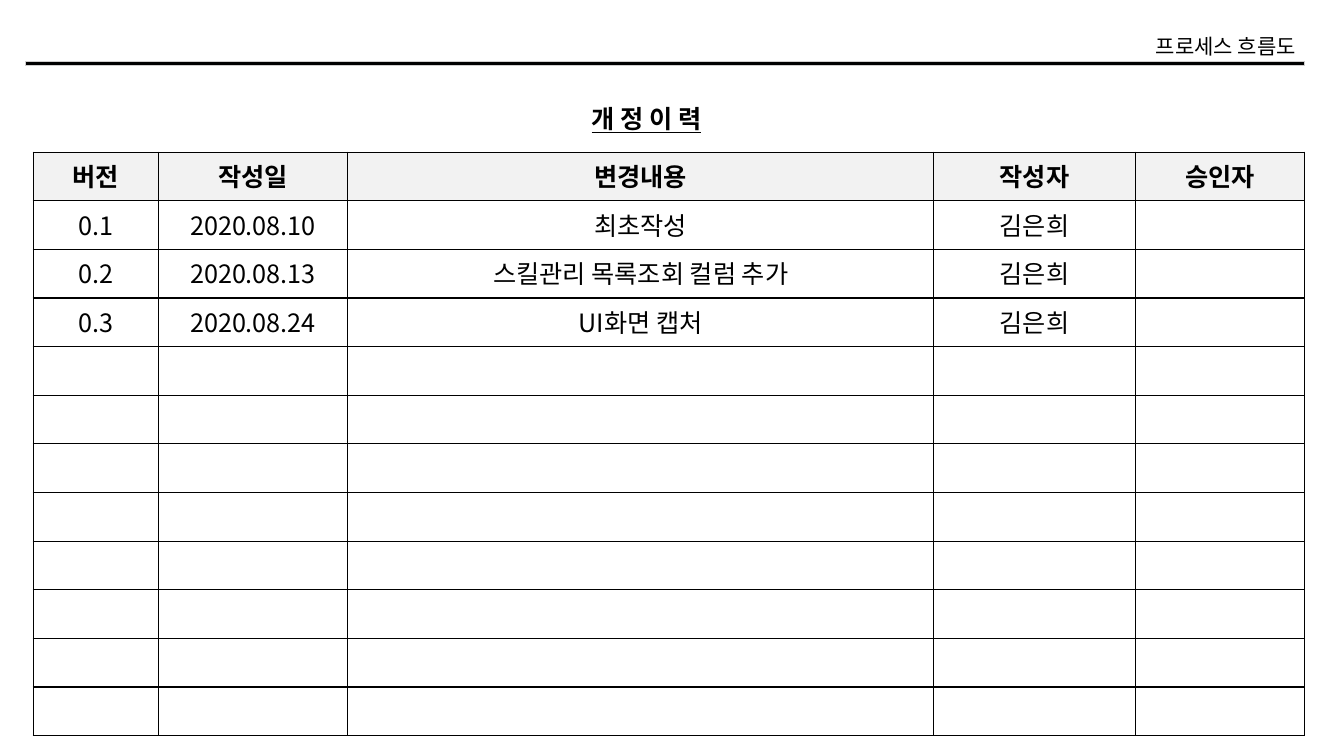
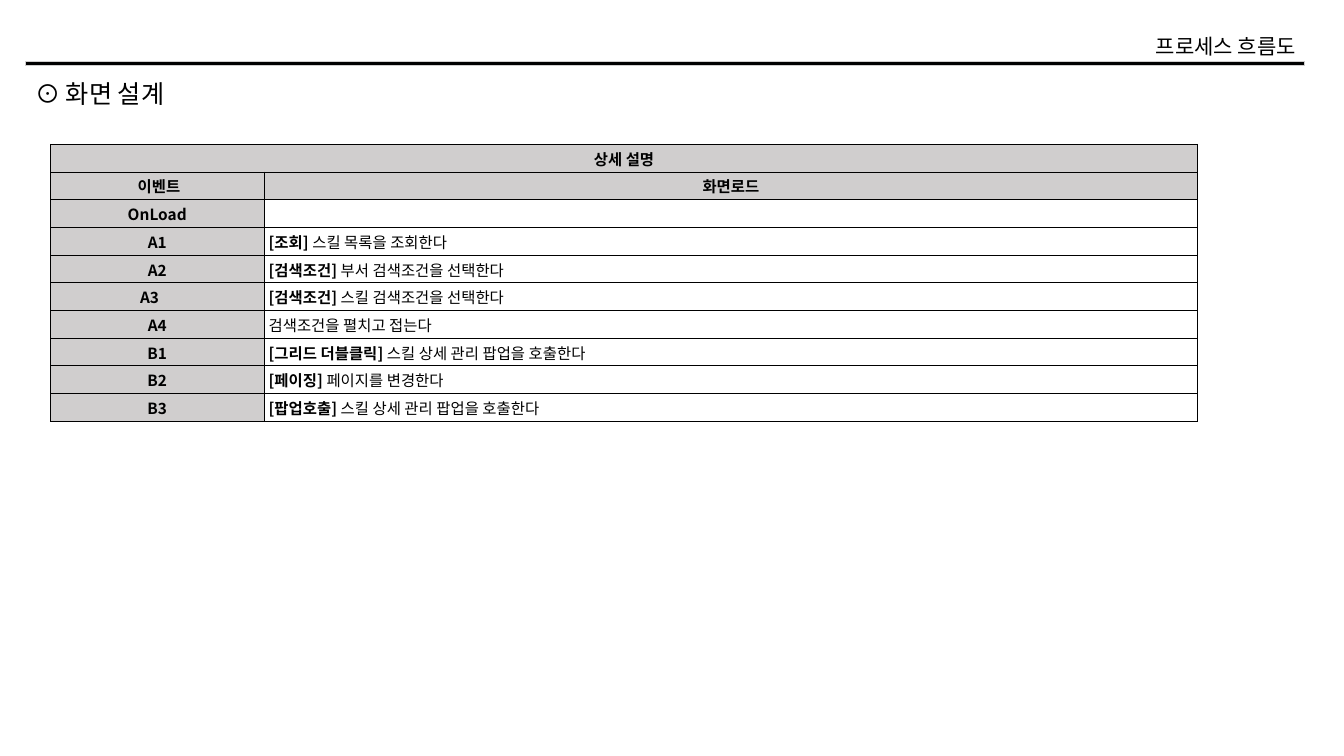
import pptx
import pptx.dml.color
import pptx.enum.shapes
import pptx.enum.text
import pptx.oxml.ns
import pptx.util
from lxml import etree

Inches = pptx.util.Inches
Pt = pptx.util.Pt
ALIGN = pptx.enum.text.PP_ALIGN
MIDDLE = pptx.enum.text.MSO_ANCHOR.MIDDLE
qn = pptx.oxml.ns.qn

FONT = "Noto Sans CJK KR"
COLORS = {"ink": "000000", "paper": "FFFFFF", "light": "F2F2F2", "gray": "D0CECE"}


class Deck:
    """Holds the shared style and the current slide, and draws each kind of element."""

    def __init__(self):
        self.prs = pptx.Presentation()
        self.prs.slide_width = Inches(13.33)
        self.prs.slide_height = Inches(7.5)
        self.slide = None

    def color(self, name):
        return pptx.dml.color.RGBColor.from_string(COLORS[name])

    def new_slide(self):
        self.slide = self.prs.slides.add_slide(self.prs.slide_layouts[6])
        self.rule(0.25, 0.61, 12.69, 0.04)
        self.text("프로세스 흐름도", 11.2, 0.28, 1.75, 0.35, 15, align=ALIGN.RIGHT)

    def rule(self, left, top, width, height):
        bar = self.slide.shapes.add_shape(
            pptx.enum.shapes.MSO_SHAPE.RECTANGLE,
            Inches(left), Inches(top), Inches(width), Inches(height))
        bar.shadow.inherit = False
        bar.fill.solid()
        bar.fill.fore_color.rgb = self.color("ink")
        bar.line.color.rgb = self.color("gray")
        bar.line.width = Pt(0.3)

    def style(self, run, size, bold=False, underline=False):
        run.font.name = FONT
        run.font.size = Pt(size)
        run.font.bold = bold
        run.font.underline = underline
        run.font.color.rgb = self.color("ink")
        etree.SubElement(run.font._element, qn("a:ea"), typeface=FONT)

    def text(self, content, left, top, width, height, size,
             align=ALIGN.LEFT, wrap=False, bold=False, underline=False):
        frame = self.slide.shapes.add_textbox(
            Inches(left), Inches(top), Inches(width), Inches(height)).text_frame
        frame.word_wrap = wrap
        frame.auto_size = pptx.enum.text.MSO_AUTO_SIZE.SHAPE_TO_FIT_TEXT
        frame.text = content
        paragraph = frame.paragraphs[0]
        paragraph.alignment = align
        self.style(paragraph.runs[0], size, bold, underline)

    def table(self, left, top, columns, row_count, row_height):
        table = self.slide.shapes.add_table(
            row_count, len(columns), Inches(left), Inches(top),
            Inches(sum(columns)), Inches(row_count * row_height)).table
        table.first_row = False
        table.horz_banding = False
        for column, width in zip(table.columns, columns):
            column.width = Inches(width)
        for row in table.rows:
            row.height = Inches(row_height)
        return table

    def border(self, cell, width):
        properties = cell._tc.get_or_add_tcPr()
        for side in ("a:lnL", "a:lnR", "a:lnT", "a:lnB"):
            line = etree.SubElement(properties, qn(side), w=str(Pt(width)))
            fill = etree.SubElement(line, qn("a:solidFill"))
            etree.SubElement(fill, qn("a:srgbClr"), val=COLORS["ink"])

    def cell(self, cell, parts, size, fill, border, align=ALIGN.CENTER, tight=False):
        self.border(cell, border)
        cell.fill.solid()
        cell.fill.fore_color.rgb = self.color(fill)
        if tight:
            cell.vertical_anchor = MIDDLE
            cell.margin_left = cell.margin_right = cell.margin_top = Inches(0.01)
            cell.margin_bottom = 0
        paragraph = cell.text_frame.paragraphs[0]
        paragraph.alignment = align
        for content, bold in parts:
            run = paragraph.add_run()
            run.text = content
            self.style(run, size, bold)
        if not parts:
            etree.SubElement(paragraph._p, qn("a:endParaRPr"), sz=str(size * 100))


REVISIONS = [
    ("버전", "작성일", "변경내용", "작성자", "승인자"),
    ("0.1", "2020.08.10", "최초작성", "김은희", ""),
    ("0.2", "2020.08.13", "스킬관리 목록조회 컬럼 추가", "김은희", ""),
    ("0.3", "2020.08.24", "UI화면 캡처", "김은희", ""),
]
REVISION_ROWS = 12

EVENTS = [
    ("OnLoad", "", ""),
    ("A1", "조회", "스킬 목록을 조회한다"),
    ("A2", "검색조건", "부서 검색조건을 선택한다"),
    ("A3　", "검색조건", "스킬 검색조건을 선택한다"),
    ("A4", "", "검색조건을 펼치고 접는다"),
    ("B1", "그리드 더블클릭", "스킬 상세 관리 팝업을 호출한다"),
    ("B2", "페이징", "페이지를 변경한다"),
    ("B3", "팝업호출", "스킬 상세 관리 팝업을 호출한다"),
]


def revision_slide(deck):
    deck.new_slide()
    deck.text("개 정 이 력", 5.77, 0.98, 1.67, 0.4, 18,
              wrap=True, bold=True, underline=True)
    history = deck.table(0.33, 1.51, (1.24, 1.88, 5.81, 2, 1.68), REVISION_ROWS, 0.4825)
    blank = ("",) * len(REVISIONS[0])
    for r, entry in enumerate(REVISIONS + [blank] * (REVISION_ROWS - len(REVISIONS))):
        heading = r == 0
        for c, content in enumerate(entry):
            deck.cell(history.cell(r, c), [(content, heading)] if content else [],
                      18, "light" if heading else "paper", 1)


def event_slide(deck):
    deck.new_slide()
    deck.text("⊙ 화면 설계", 0.25, 0.73, 1.63, 0.4, 18)
    details = deck.table(0.5, 1.43, (2.12, 9.26), len(EVENTS) + 2, 0.275)
    details.cell(0, 0).merge(details.cell(0, 1))
    for r, headings in enumerate([("상세 설명", ""), (" 이벤트", "화면로드")]):
        for c, heading in enumerate(headings):
            deck.cell(details.cell(r, c), [(heading, True)] if heading else [],
                      11, "gray", 0.5, tight=True)
    for r, (code, tag, action) in enumerate(EVENTS, start=2):
        deck.cell(details.cell(r, 0), [(code, True)], 11, "gray", 0.5, tight=True)
        label = f" [{tag}] " if tag else " "
        deck.cell(details.cell(r, 1), [(label, True), (action, False)] if action else [],
                  11, "paper", 0.5, align=ALIGN.LEFT, tight=True)


def main():
    deck = Deck()
    revision_slide(deck)
    event_slide(deck)
    deck.prs.save("out.pptx")


if __name__ == "__main__":
    main()
